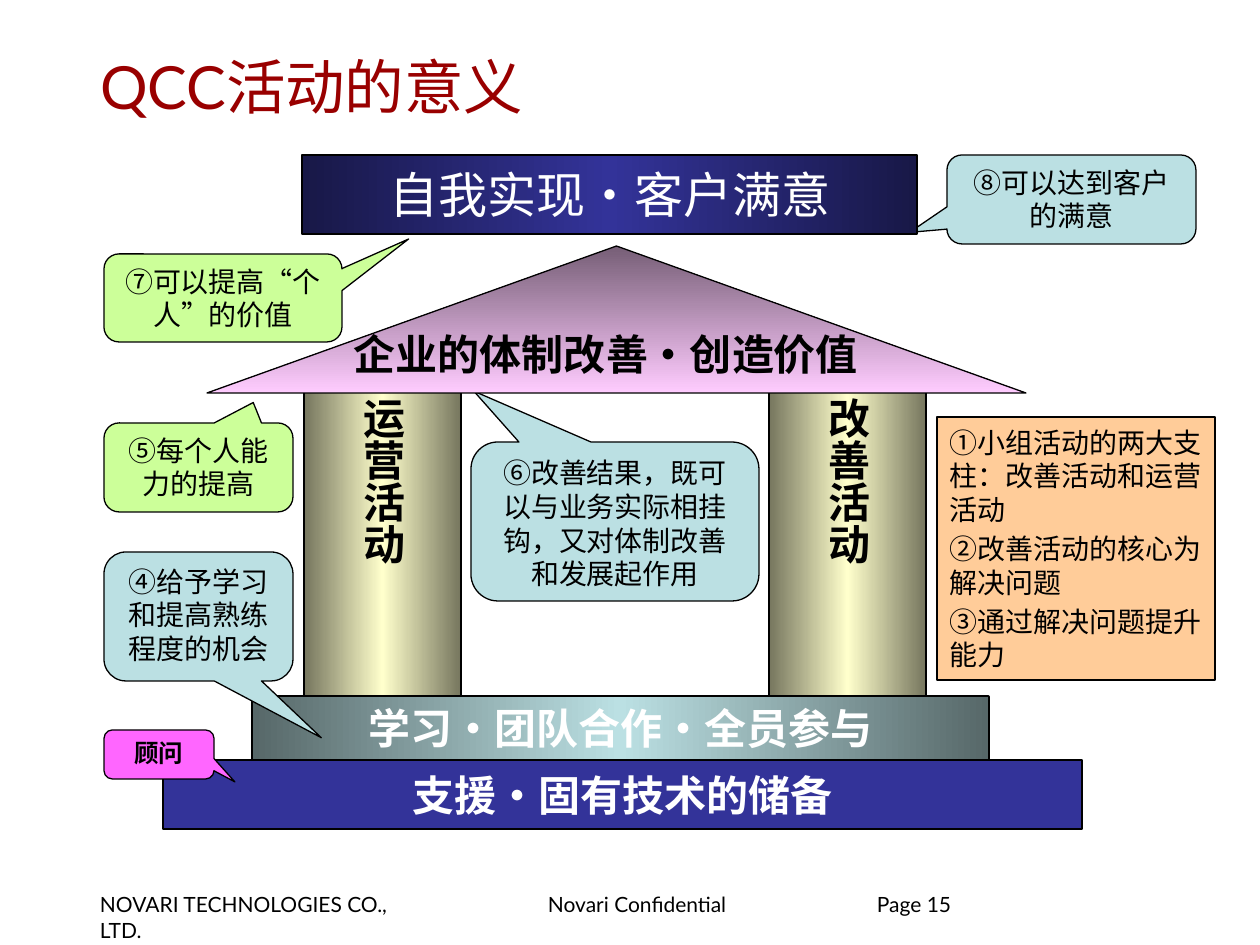
import copy
import pptx
import pptx.util
import pptx.dml.color
import pptx.enum.shapes
import pptx.enum.text
import pptx.oxml.ns
from lxml import etree

KIND = pptx.enum.shapes.MSO_SHAPE
ALIGN = pptx.enum.text.PP_ALIGN
ANCHOR = pptx.enum.text.MSO_ANCHOR
SCALE = 914400 / 126
CJK, LATIN = "Noto Sans CJK SC", "Lato"

HEX = {
    "black": "000000", "white": "FFFFFF", "title": "990000",
    "navy": "333399", "night": "181847", "teal": "BBE0E3", "slate": "576869",
    "cream": "FFFFCC", "olive": "76765E", "pink": "FFCCFF", "plum": "765E76",
    "green": "99FF99", "lime": "CCFF99", "peach": "FFCC99", "rose": "FF66FF",
}

TITLE = "QCC活动的意义"
NOTES = ["①小组活动的两大支柱：改善活动和运营活动",
         "②改善活动的核心为解决问题", "③通过解决问题提升能力"]

# text, left
PILLARS = [("改善活动", 769), ("运营活动", 304)]

# text, box, fill, pointer and corner, anchor
CALLOUTS = [
    ("④给予学习和提高熟练程度的机会", (104, 552, 189, 129), "teal", (0.65, 0.94), "top"),
    ("⑥改善结果，既可以与业务实际相挂钩，又对体制改善和发展起作用",
     (471, 442, 288, 159), "teal", (-0.49, -0.82), "top"),
    ("⑦可以提高“个人”的价值", (104, 254, 238, 88), "lime", (0.78, -0.67), "mid"),
    ("⑧可以达到客户的满意", (947, 155, 249, 89), "teal", (-0.65, 0.37), "top"),
    ("⑤每个人能力的提高", (104, 423, 189, 89), "lime", (0.29, -0.73), "top"),
]

# text, box, line spacing, margins
FOOTER = [
    ("NOVARI TECHNOLOGIES CO., LTD.", (89, 887, 350, 37), 1, (11, 5)),
    ("Novari Confidential", (537, 887, 224, 37), 1, (11, 5)),
    ("Page 15", (877, 895, 289, 50), 0.85, (0, 0)),
]


def px(num):
    return pptx.util.Emu(round(num * SCALE))


def rgb(name):
    return pptx.dml.color.RGBColor.from_string(HEX[name])


def write(shape, lines, size=16, color="black", font=CJK, bold=False, align="LEFT",
          anchor="top", wrap=True, pad=(13, 6), gap=0, pitch=None, turn=False):
    """Fill a shape with one paragraph per line, in one format."""
    frame = shape.text_frame
    frame.word_wrap = wrap
    frame.vertical_anchor = ANCHOR.MIDDLE if anchor == "mid" else ANCHOR.TOP
    frame.margin_left = frame.margin_right = px(pad[0])
    frame.margin_top = frame.margin_bottom = px(pad[1])
    if turn:
        frame._txBody.bodyPr.set("vert", "eaVert")
    for i, line in enumerate([lines] if isinstance(lines, str) else lines):
        para = frame.add_paragraph() if i else frame.paragraphs[0]
        para.alignment = getattr(ALIGN, align)
        para.space_before = para.space_after = pptx.util.Pt(gap)
        if pitch:
            para.line_spacing = pitch
        run = para.add_run()
        run.text = line
        run.font.size, run.font.bold = pptx.util.Pt(size), bold
        run.font.name = font
        run.font.color.rgb = rgb(color)
        east = etree.Element(pptx.oxml.ns.qn("a:ea"), typeface=CJK)
        run.font._element.find(pptx.oxml.ns.qn("a:latin")).addnext(east)


def blend(shape, names, angle):
    """Spread the named colours evenly along a linear gradient."""
    shape.fill.gradient()
    shape.fill.gradient_angle = angle
    stops = shape.element.spPr.find(".//" + pptx.oxml.ns.qn("a:gsLst"))
    while len(stops) < len(names):
        stops.append(copy.deepcopy(stops[-1]))
    for i, (stop, name) in enumerate(zip(shape.fill.gradient_stops, names)):
        stop.color.rgb = rgb(name)
        stop.position = i / (len(names) - 1)


def draw(slide, kind, box, fill, line=0.75, adjust=(), angle=0):
    """Add a shape; a tuple as fill makes a gradient."""
    shape = slide.shapes.add_shape(kind, *map(px, box))
    shape.shadow.inherit = False
    for i, value in enumerate(adjust):
        shape.adjustments[i] = value
    if isinstance(fill, tuple):
        blend(shape, fill, angle)
    else:
        shape.fill.solid()
        shape.fill.fore_color.rgb = rgb(fill)
    if line:
        shape.line.color.rgb = rgb("black")
        shape.line.width = pptx.util.Pt(line)
    else:
        shape.line.fill.background()
    return shape


def label(slide, text, box, **form):
    form.setdefault("pad", (11, 5))
    write(slide.shapes.add_textbox(*map(px, box)), text, **form)


def callout(slide, text, box, fill, tip, **form):
    shape = draw(slide, KIND.ROUNDED_RECTANGULAR_CALLOUT, box, fill, adjust=(*tip, 0.17))
    write(shape, text, align="CENTER", **form)


def main():
    deck = pptx.Presentation()
    deck.slide_width, deck.slide_height = px(1260), px(945)
    slide = deck.slides.add_slide(deck.slide_layouts[5])
    head = slide.shapes.title
    head.left, head.top, head.width, head.height = map(px, (89, 26, 1067, 120))
    write(head, TITLE, size=34, color="title", font=LATIN, anchor="mid", pad=(11, 5))

    for text, box, pitch, pad in FOOTER:
        label(slide, text, box, size=12, font=LATIN, pitch=pitch, pad=pad)

    strong = dict(size=24, bold=True, align="CENTER")
    for text, left in PILLARS:
        pillar = draw(slide, KIND.RECTANGLE, (left, 392, 157, 305),
                      ("olive", "cream", "olive"))
        write(pillar, text, anchor="mid", wrap=False, turn=True, **strong)

    draw(slide, KIND.RECTANGLE, (253, 697, 735, 73), "green", line=2.25)
    step = draw(slide, KIND.RECTANGLE, (253, 697, 735, 63),
                ("slate", "teal", "slate"), line=0)
    write(step, "学习・团队合作・全员参与", color="white", **strong)
    base = draw(slide, KIND.ROUNDED_RECTANGLE, (163, 760, 919, 69), "navy", adjust=(0,))
    write(base, "支援・固有技术的储备", color="white", anchor="mid", wrap=False, **strong)

    notes = draw(slide, KIND.RECTANGLE, (937, 417, 278, 263), "peach")
    write(notes, NOTES, anchor="mid", gap=1.6)

    for text, box, fill, tip, anchor in CALLOUTS:
        callout(slide, text, box, fill, tip, anchor=anchor)

    draw(slide, KIND.ISOSCELES_TRIANGLE, (207, 246, 819, 147), ("plum", "pink"), angle=270)
    label(slide, "企业的体制改善・创造价值", (343, 324, 596, 62), size=24, bold=True)
    draw(slide, KIND.RECTANGLE, (302, 155, 615, 79), ("night", "navy", "night"), line=1.5)
    label(slide, "自我实现・客户满意", (379, 159, 468, 71), size=28, color="white", wrap=False)

    callout(slide, "顾问", (104, 730, 110, 49), "rose", (0.69, 0.56),
            size=14, font=LATIN, bold=True)
    deck.save("out.pptx")


if __name__ == "__main__":
    main()
